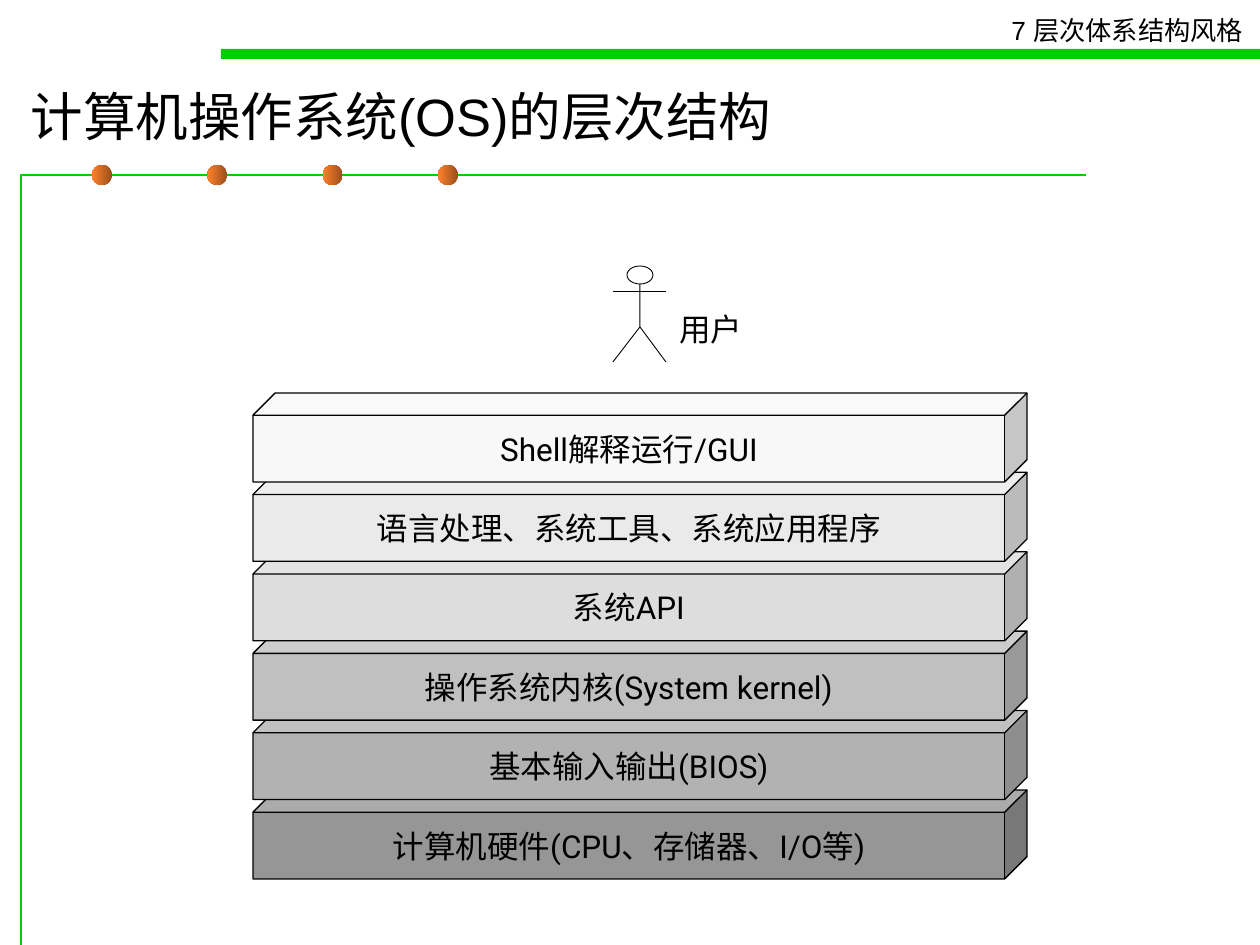
from pptx import Presentation
from pptx.dml.color import RGBColor
from pptx.enum.shapes import MSO_SHAPE
from pptx.enum.text import MSO_ANCHOR, MSO_AUTO_SIZE, PP_ALIGN
from pptx.util import Pt

CUBE, OVAL, RECT = MSO_SHAPE.CUBE, MSO_SHAPE.OVAL, MSO_SHAPE.RECTANGLE
LEFT, CENTER = PP_ALIGN.LEFT, PP_ALIGN.CENTER
MIDDLE, TOP = MSO_ANCHOR.MIDDLE, MSO_ANCHOR.TOP
NO_AUTOFIT = MSO_AUTO_SIZE.NONE

CHAPTER = "7 层次体系结构风格"
TITLE = "计算机操作系统(OS)的层次结构"
USER = "用户"
LAYERS = [  # top to bottom
    ("Shell解释运行/GUI", "F8F8F8"),
    ("语言处理、系统工具、系统应用程序", "EAEAEA"),
    ("系统API", "DDDDDD"),
    ("操作系统内核(System kernel)", "C0C0C0"),
    ("基本输入输出(BIOS)", "B2B2B2"),
    ("计算机硬件(CPU、存储器、I/O等)", "969696"),
]

THEME = {
    "ink": "000000", "paper": "FFFFFF", "green": "00CC00",
    "bead_dark": "9A4E1B", "bead_light": "FF822D",
    "heading_font": "Arial", "label_font": "Roboto",
    "chapter": 15, "title": 30, "label": 18,
    "edge": 0.75, "thin": 0.5,
}

PX = 914400 / 126
SLIDE_W, SLIDE_H = 1260, 945
STACK_LEFT, STACK_TOP, STACK_LAST_TOP = 253, 393, 790
LAYER_W, LAYER_H = 774, 89
BEAD_LEFT, BEAD_TOP, BEAD_SIZE, BEAD_SPAN, BEADS = 92, 165, 20, 346, 4
FIGURE_X = 640


def emu(*lengths):
    return [round(length * PX) for length in lengths]


def color(name):
    return RGBColor.from_string(THEME.get(name, name))


def style(shape, fill=None, line=None, width=THEME["edge"]):
    shape.shadow.inherit = False
    if fill:
        shape.fill.solid()
        shape.fill.fore_color.rgb = color(fill)
    else:
        shape.fill.background()
    if line:
        shape.line.color.rgb = color(line)
        shape.line.width = Pt(width)
    else:
        shape.line.fill.background()


def write(shape, text, font, size, align=LEFT, anchor=TOP, wrap=False):
    frame = shape.text_frame
    frame.auto_size = NO_AUTOFIT
    frame.word_wrap = wrap
    frame.vertical_anchor = anchor
    paragraph = frame.paragraphs[0]
    paragraph.alignment = align
    run = paragraph.add_run()
    run.text = text
    run.font.name = THEME[font]
    run.font.size = Pt(THEME[size])
    run.font.color.rgb = color("ink")


def add_strokes(shapes, strokes, line, width):
    """Draw several open polylines as one outline."""
    builder = shapes.build_freeform(*strokes[0][0], scale=PX)
    for index, (start, *rest) in enumerate(strokes):
        if index:
            builder.move_to(*start)
        builder.add_line_segments(rest, close=False)
    style(builder.convert_to_shape(), line=line, width=width)


def add_frame(shapes):
    add_strokes(shapes, [[(21, SLIDE_H), (21, 175), (1086, 175)]], "green", THEME["edge"])
    for index in range(BEADS):
        left = BEAD_LEFT + BEAD_SPAN * index / (BEADS - 1)
        bead = shapes.add_shape(OVAL, *emu(left, BEAD_TOP, BEAD_SIZE, BEAD_SIZE))
        style(bead)
        bead.fill.gradient()
        bead.fill.gradient_angle = 180
        for stop, name in zip(bead.fill.gradient_stops, ("bead_dark", "bead_light")):
            stop.color.rgb = color(name)
    style(shapes.add_shape(RECT, *emu(221, 49, 1039, 10)), fill="green")
    write(shapes.add_textbox(*emu(999, 8, 263, 44)), CHAPTER, "heading_font", "chapter")


def add_layers(shapes):
    """Stack the layers from the bottom up, so each one covers the one below."""
    pitch = (STACK_LAST_TOP - STACK_TOP) / (len(LAYERS) - 1)
    for index, (label, shade) in reversed(list(enumerate(LAYERS))):
        top = STACK_TOP + index * pitch
        layer = shapes.add_shape(CUBE, *emu(STACK_LEFT, top, LAYER_W, LAYER_H))
        layer.adjustments[0] = 0.25
        style(layer, fill=shade, line="ink")
        write(layer, label, "label_font", "label", CENTER, MIDDLE)


def add_user(shapes):
    figure = shapes.add_group_shape().shapes
    head = figure.add_shape(OVAL, *emu(FIGURE_X - 13, 266, 26, 18))
    style(head, fill="paper", line="ink", width=THEME["thin"])
    left, right, hip, foot = FIGURE_X - 27, FIGURE_X + 26, 327, 362
    add_strokes(figure, [
        [(left, 292), (right, 292)],
        [(FIGURE_X, hip), (right, foot)],
        [(FIGURE_X, 284), (FIGURE_X, hip), (left, foot)],
    ], "ink", THEME["thin"])
    write(shapes.add_textbox(*emu(667, 304, 88, 50)), USER, "label_font", "label")


def main():
    deck = Presentation()
    deck.slide_width, deck.slide_height = emu(SLIDE_W, SLIDE_H)
    slide = deck.slides.add_slide(deck.slide_layouts[5])
    shapes = slide.shapes
    title = shapes.title
    title.left, title.top, title.width, title.height = emu(18, 71, 1170, 89)
    write(title, TITLE, "heading_font", "title", anchor=MIDDLE, wrap=True)
    add_frame(shapes)
    add_layers(shapes)
    add_user(shapes)
    deck.save("out.pptx")


if __name__ == "__main__":
    main()
